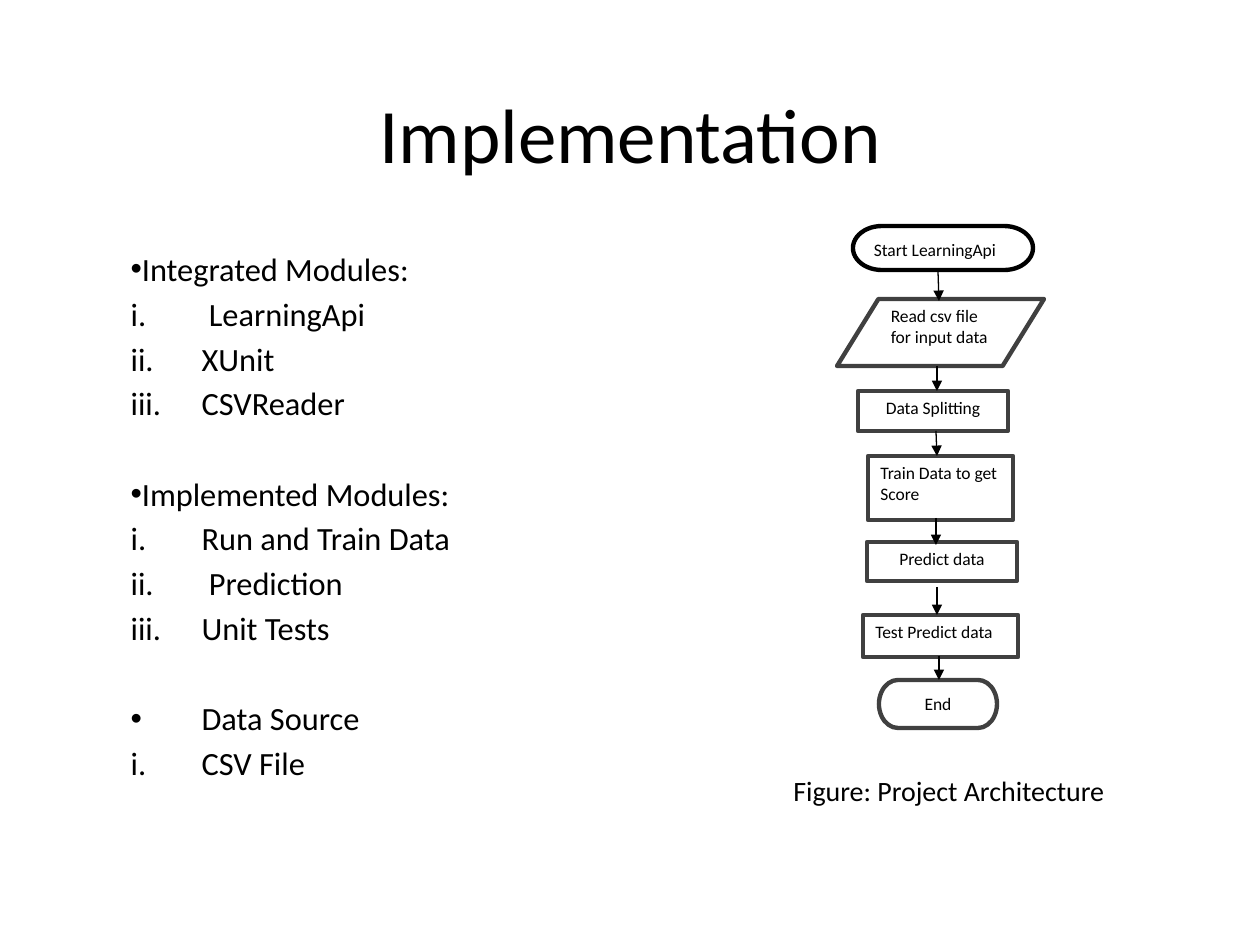
from pptx import Presentation
from pptx.dml.color import RGBColor
from pptx.enum.shapes import MSO_CONNECTOR, MSO_SHAPE as SHAPE
from pptx.enum.text import MSO_ANCHOR, MSO_AUTO_SIZE, PP_ALIGN as ALIGN
from pptx.oxml.ns import qn
from pptx.util import Pt
from lxml.etree import SubElement

PIXEL = 914400 // 126
COLORS = {"text": "000000", "fill": "FFFFFF", "step": "404040"}
LINE_GAP, GROUP_GAP = 3.4, 29.3
HANGING = 71


def px(*lengths):
    """Turn picture pixels into EMU."""
    return [round(length * PIXEL) for length in lengths]


def write(paragraph, text, size, align=ALIGN.LEFT):
    """Add one formatted run to a paragraph."""
    paragraph.alignment = align
    run = paragraph.add_run()
    run.text = text
    run.font.name = "Calibri"
    run.font.size = Pt(size)
    run.font.color.rgb = RGBColor.from_string(COLORS["text"])


presentation = Presentation()
presentation.slide_width, presentation.slide_height = px(1260, 945)
slide = presentation.slides.add_slide(presentation.slide_layouts[0])

# Title
title = slide.shapes.title
title.left, title.top, title.width, title.height = px(95, 59, 1071, 147)
title.text_frame.vertical_anchor = MSO_ANCHOR.MIDDLE
title.text_frame.auto_size = MSO_AUTO_SIZE.NONE
write(title.text_frame.paragraphs[0], "Implementation", 44, ALIGN.CENTER)

# Module list: heading, heading indent, numbered items
module_groups = [
    ("Integrated Modules:", 0, [" LearningApi", "XUnit", "CSVReader"]),
    ("Implemented Modules:", 0, ["Run and Train Data", " Prediction", "Unit Tests"]),
    ("Data Source", HANGING, ["CSV File"]),
]
body = slide.placeholders[1]
body.left, body.top, body.width, body.height = px(118, 197, 984, 580)
frame = body.text_frame
frame.auto_size = MSO_AUTO_SIZE.NONE
frame.vertical_anchor = MSO_ANCHOR.TOP
frame.margin_top = px(52)[0]
for group_index, (heading, heading_indent, items) in enumerate(module_groups):
    for item_index, text in enumerate([heading] + items):
        is_heading = item_index == 0
        is_first = is_heading and group_index == 0
        paragraph = frame.paragraphs[0] if is_first else frame.add_paragraph()
        gap = GROUP_GAP if is_heading else LINE_GAP
        paragraph.space_before = Pt(0 if is_first else gap)
        write(paragraph, text, 18.5)
        indent = px(heading_indent if is_heading else HANGING)[0]
        properties = paragraph._p.get_or_add_pPr()
        properties.set("marL", str(indent))
        properties.set("indent", str(-indent))
        if is_heading:
            SubElement(properties, qn("a:buFont"), typeface="Arial")
            SubElement(properties, qn("a:buChar"), char="•")
        else:
            SubElement(properties, qn("a:buFont"), typeface="+mj-lt")
            SubElement(properties, qn("a:buAutoNum"), type="romanLcPeriod")

# Flow chart
steps = [
    ("Start LearningApi", SHAPE.FLOWCHART_TERMINATOR, (853, 226, 180, 44), ALIGN.LEFT, "text"),
    ("Read csv file for input data", SHAPE.FLOWCHART_DATA, (837, 299, 207, 67), ALIGN.LEFT, "step"),
    ("Data Splitting", SHAPE.FLOWCHART_PROCESS, (858, 391, 150, 40), ALIGN.CENTER, "step"),
    ("Train Data to get Score", SHAPE.FLOWCHART_PROCESS, (868, 456, 145, 64), ALIGN.LEFT, "step"),
    ("Predict data", SHAPE.FLOWCHART_PROCESS, (867, 542, 150, 39), ALIGN.CENTER, "step"),
    ("Test Predict data", SHAPE.FLOWCHART_PROCESS, (863, 615, 155, 42), ALIGN.LEFT, "step"),
    ("End", SHAPE.FLOWCHART_TERMINATOR, (879, 680, 118, 48), ALIGN.CENTER, "step"),
]
flow = slide.shapes.add_group_shape()
for text, kind, box, align, line_color in steps:
    shape = flow.shapes.add_shape(kind, *px(*box))
    shape.shadow.inherit = False
    shape.fill.solid()
    shape.fill.fore_color.rgb = RGBColor.from_string(COLORS["fill"])
    shape.line.color.rgb = RGBColor.from_string(COLORS[line_color])
    shape.line.width = Pt(2.5)
    shape.text_frame.word_wrap = True
    shape.text_frame.vertical_anchor = MSO_ANCHOR.TOP
    paragraph = shape.text_frame.paragraphs[0]
    paragraph.space_after = Pt(10)
    write(paragraph, text, 10, align)

arrows = [
    (938, 270, 939, 301), (937, 366, 937, 391), (936, 431, 937, 456),
    (936, 518, 936, 545), (937, 587, 937, 615), (939, 656, 939, 680),
]
for ends in arrows:
    arrow = flow.shapes.add_connector(MSO_CONNECTOR.STRAIGHT, *px(*ends))
    arrow.line.color.rgb = RGBColor.from_string(COLORS["text"])
    arrow.line.width = Pt(0.75)
    SubElement(arrow.line._get_or_add_ln(), qn("a:tailEnd"), type="triangle")
    SubElement(arrow._element.spPr, qn("a:effectLst"))

# Caption
caption = slide.shapes.add_textbox(*px(767, 767, 364, 47))
caption.text_frame.word_wrap = True
write(caption.text_frame.paragraphs[0], "Figure: Project Architecture", 16, ALIGN.CENTER)

presentation.save("out.pptx")
